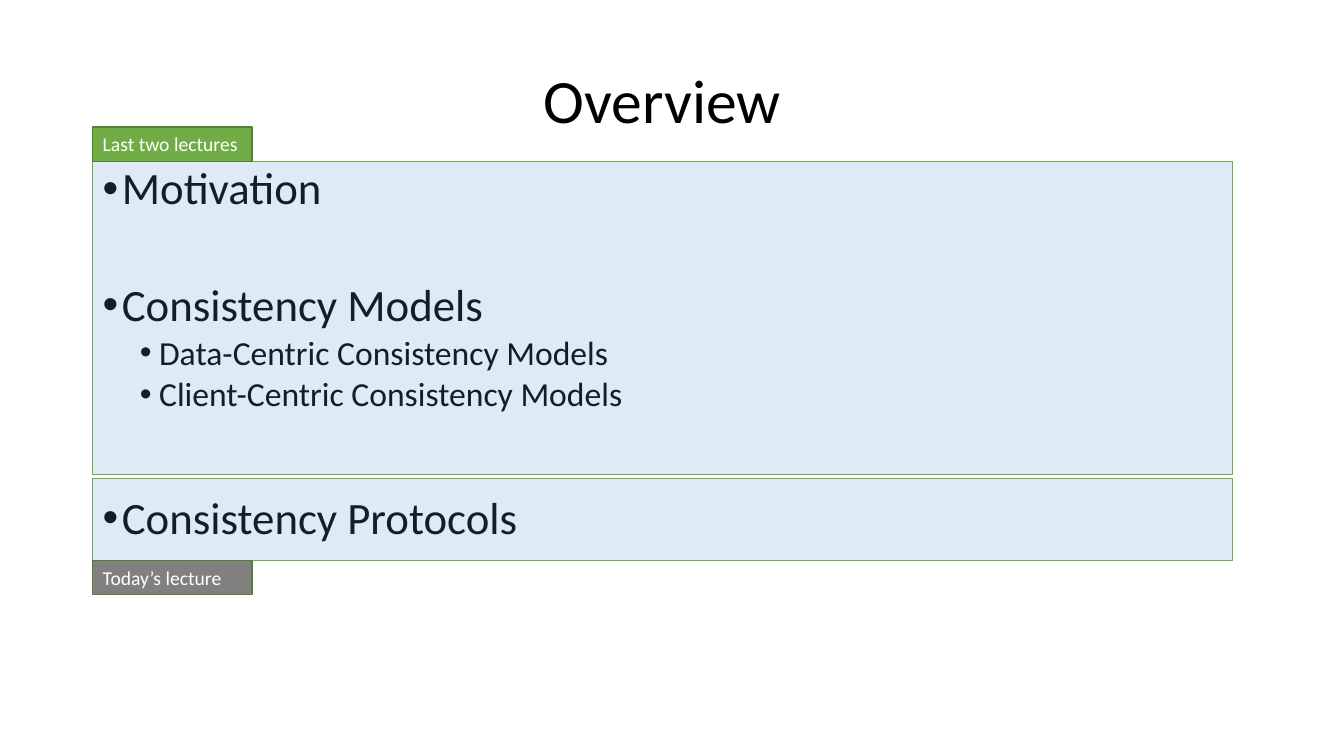
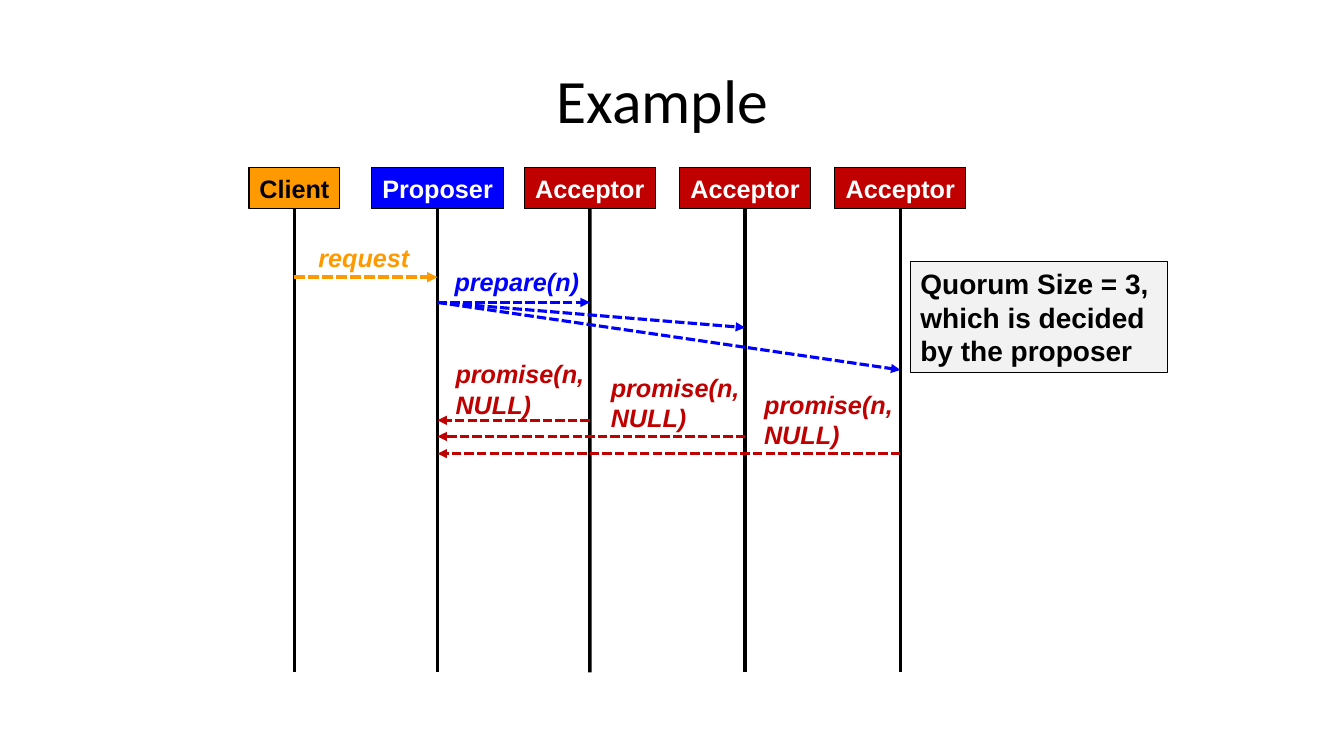
from pptx import Presentation
from pptx.dml.color import RGBColor
from pptx.enum.shapes import MSO_CONNECTOR, MSO_SHAPE
from pptx.enum.text import MSO_ANCHOR, PP_ALIGN
from pptx.oxml.ns import qn
from pptx.util import Inches, Pt
from lxml.etree import SubElement

BLACK, WHITE, GREEN, EDGE = "000000", "FFFFFF", "70AD47", "538035"
AMBER, BLUE, RED = "FF9900", "0000FF", "C00000"
LEFT, WIDE = 0.92, 11.3

TOPICS = [
    ("Motivation", 0, 7.5),
    ("Consistency Models", 0, 48.5),
    ("Data-Centric Consistency Models", 1, 3.8),
    ("Client-Centric Consistency Models", 1, 3.8),
    ("Consistency Protocols", 0, 58),
]
LEVELS = [(32, 0.19), (24, 0.56)]
PANELS = [(1.6, 3.11), (4.75, 0.81)]
TAGS = [("Last two lectures", 1.26, GREEN), ("Today’s lecture", 5.56, "808080")]

LANES = [
    ("Client", 2.92, 0.9, AMBER, BLACK),
    ("Proposer", 4.34, 1.31, BLUE, WHITE),
    ("Acceptor", 5.85, 1.3, RED, WHITE),
    ("Acceptor", 7.39, 1.3, RED, WHITE),
    ("Acceptor", 8.93, 1.3, RED, WHITE),
]
CALLS = [
    (0, 2.75, 1, 2.75, AMBER, 2.5),
    (1, 3, 2, 3, BLUE, 2.25),
    (1, 3, 3, 3.25, BLUE, 2.25),
    (1, 3, 4, 3.67, BLUE, 2.25),
    (2, 4.17, 1, 4.17, RED, 2.25),
    (3, 4.33, 1, 4.33, RED, 2.25),
    (4, 4.5, 1, 4.5, RED, 2.25),
]
PROMISE = "promise(n,\nNULL)"
LABELS = [
    ("request", 3.06, 2.35, AMBER),
    ("prepare(n)", 4.41, 2.59, BLUE),
    (PROMISE, 4.42, 3.51, RED),
    (PROMISE, 5.96, 3.64, RED),
    (PROMISE, 7.48, 3.81, RED),
]
QUORUM = "Quorum Size = 3,\nwhich is decided\nby the proposer"


def color(code):
    return RGBColor.from_string(code)


def write(par, text, size=18, font="Arial", ink=BLACK, bold=False,
          slant=False, align=PP_ALIGN.LEFT):
    par.text = text
    par.alignment = align
    for run in par.runs:
        run.font.size = Pt(size)
        run.font.name = font
        run.font.bold = bold
        run.font.italic = slant
        run.font.color.rgb = color(ink)


def text_box(slide, x, y, w, h):
    frame = slide.shapes.add_textbox(*map(Inches, (x, y, w, h))).text_frame
    frame.word_wrap = True
    return frame


def box(slide, x, y, w, h, fill, edge, width, side=0.1):
    shape = slide.shapes.add_shape(MSO_SHAPE.RECTANGLE, *map(Inches, (x, y, w, h)))
    shape.shadow.inherit = False
    shape.fill.solid()
    shape.fill.fore_color.rgb = color(fill)
    shape.line.color.rgb = color(edge)
    shape.line.width = Pt(width)
    frame = shape.text_frame
    frame.word_wrap = True
    frame.vertical_anchor = MSO_ANCHOR.MIDDLE
    frame.margin_left = frame.margin_right = Inches(side)
    return shape


def line(slide, x1, y1, x2, y2, ink, width, arrow=False):
    link = slide.shapes.add_connector(
        MSO_CONNECTOR.STRAIGHT, *map(Inches, (x1, y1, x2, y2)))
    link.line.color.rgb = color(ink)
    link.line.width = Pt(width)
    props = link._element.spPr
    if arrow:
        stroke = props.find(qn("a:ln"))
        SubElement(stroke, qn("a:prstDash"), val="sysDash")
        SubElement(stroke, qn("a:tailEnd"), type="triangle")
    SubElement(props, qn("a:effectLst"))
    return link


def add_page(deck, title):
    slide = deck.slides.add_slide(deck.slide_layouts[6])
    frame = text_box(slide, LEFT, 0.3, WIDE, 1.45)
    frame.vertical_anchor = MSO_ANCHOR.MIDDLE
    par = frame.paragraphs[0]
    write(par, title, size=44, font="Calibri", align=PP_ALIGN.CENTER)
    par.line_spacing = 0.9
    return slide


def bullet(par, indent):
    props = par._p.get_or_add_pPr()
    props.set("marL", str(Inches(indent)))
    props.set("indent", str(Inches(-0.19)))
    SubElement(props, qn("a:buFont"), typeface="Arial")
    SubElement(props, qn("a:buChar"), char="•")


def overview(deck):
    slide = add_page(deck, "Overview")
    frame = text_box(slide, LEFT, 1.6, WIDE, 5.5)
    for i, (text, level, gap) in enumerate(TOPICS):
        par = frame.add_paragraph() if i else frame.paragraphs[0]
        size, indent = LEVELS[level]
        write(par, text, size=size, font="Calibri")
        par.level = level
        par.line_spacing = 0.9
        par.space_before = Pt(gap)
        bullet(par, indent)
    for top, high in PANELS:
        panel = box(slide, LEFT, top, WIDE, high, "5B9BD5", GREEN, 0.5)
        tint = panel._element.spPr.find(qn("a:solidFill"))[0]
        SubElement(tint, qn("a:alpha"), val="20000")
    for text, top, fill in TAGS:
        tag = box(slide, LEFT, top, 1.58, 0.34, fill, EDGE, 1)
        write(tag.text_frame.paragraphs[0], text, size=14, font="Calibri", ink=WHITE)


def example(deck):
    slide = add_page(deck, "Example")
    for name, x, wide, fill, ink in LANES:
        head = box(slide, x - wide / 2, 1.66, wide, 0.41, fill, BLACK, 0.75, side=0)
        write(head.text_frame.paragraphs[0], name, ink=ink, bold=True,
              align=PP_ALIGN.CENTER)
        life = line(slide, x, 2.07, x, 6.67, BLACK, 2.5)
        life.begin_connect(head, 2)
    for start, y1, end, y2, ink, width in CALLS:
        line(slide, LANES[start][1], y1, LANES[end][1], y2, ink, width, arrow=True)
    for text, x, y, ink in LABELS:
        frame = text_box(slide, x, y, 1.56, 0.4 + 0.31 * text.count("\n"))
        write(frame.paragraphs[0], text, ink=ink, bold=True, slant=True)
    note = box(slide, 9.03, 2.59, 2.55, 1.11, "F2F2F2", BLACK, 0.75)
    write(note.text_frame.paragraphs[0], QUORUM, size=20, bold=True)


def main():
    deck = Presentation()
    deck.slide_width, deck.slide_height = Inches(13.33), Inches(7.5)
    overview(deck)
    example(deck)
    deck.save("out.pptx")


if __name__ == "__main__":
    main()
